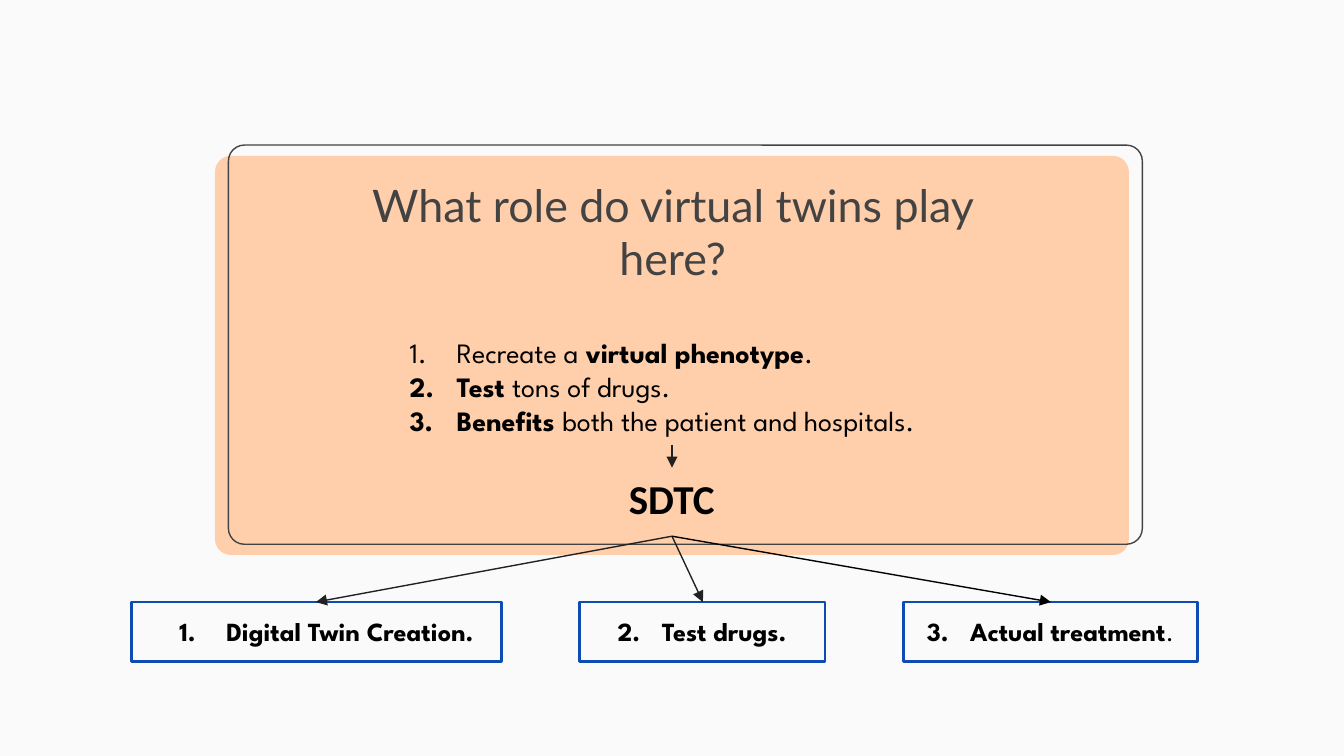
from dataclasses import dataclass
from typing import Optional

from lxml.etree import SubElement
from pptx import Presentation
from pptx.dml.color import RGBColor
from pptx.enum.shapes import MSO_CONNECTOR as Connector, MSO_SHAPE as Shape
from pptx.enum.text import MSO_ANCHOR as Anchor, PP_ALIGN as Align
from pptx.oxml.ns import qn
from pptx.util import Inches, Pt

PAPER = RGBColor(0xFA, 0xFA, 0xFA)
PEACH = RGBColor(0xFF, 0xCE, 0xAA)
GREY = RGBColor(0x43, 0x43, 0x43)
DARK = RGBColor(0x21, 0x21, 0x21)
BLUE = RGBColor(0x0F, 0x4B, 0xB4)
BLACK = RGBColor(0, 0, 0)
BODY_FONT = "League Spartan"


@dataclass
class Style:
    font: str
    size: float
    color: RGBColor = BLACK


@dataclass
class Span:
    text: str
    bold: bool = False
    spacing: float = 0


@dataclass
class Step:
    left: float
    width: float
    spans: list[Span]
    arrow_x: float
    numbered: bool = False
    arrow_color: RGBColor = DARK


GAP = Span(" ", True, 7.7)
POINTS = [
    [Span("Recreate a "), Span("virtual phenotype", True), Span(".")],
    [Span("Test ", True), Span("tons of drugs.")],
    [Span("Benefits ", True), Span("both the patient and hospitals.")],
]
STEPS = [
    Step(0.98, 2.75, [Span("Digital Twin Creation.", True)], 2.35, numbered=True),
    Step(4.31, 1.83, [Span("2.", True), GAP, Span("Test drugs.", True)], 5.23),
    Step(6.72, 2.19,
         [Span("3.", True), GAP, Span("Actual treatment", True), Span(".")],
         7.82, arrow_color=BLACK),
]
STEP_TOP, STEP_HEIGHT = 4.48, 0.44
HUB_X, HUB_Y = 5, 3.99


def add_box(slide, shape: Shape, left: float, top: float, width: float,
            height: float, fill: Optional[RGBColor] = None,
            line: Optional[RGBColor] = None, weight: float = 0.75):
    sp = slide.shapes.add_shape(shape, Inches(left), Inches(top),
                                Inches(width), Inches(height))
    sp.shadow.inherit = False
    if fill is None:
        sp.fill.background()
    else:
        sp.fill.solid()
        sp.fill.fore_color.rgb = fill
    if line is None:
        sp.line.fill.background()
    else:
        sp.line.color.rgb = line
        sp.line.width = Pt(weight)
    return sp


def setup_frame(sp, anchor: Anchor = Anchor.TOP, wrap: bool = True):
    tf = sp.text_frame
    tf.word_wrap = wrap
    tf.vertical_anchor = anchor
    tf.margin_left = tf.margin_right = Inches(0.1)
    tf.margin_top = tf.margin_bottom = Inches(0.1)
    return tf


def add_text(slide, left: float, top: float, width: float, height: float,
             anchor: Anchor = Anchor.TOP, wrap: bool = True):
    sp = slide.shapes.add_textbox(Inches(left), Inches(top),
                                  Inches(width), Inches(height))
    return setup_frame(sp, anchor, wrap)


def write(p, spans: list[Span], style: Style, align: Align = Align.LEFT) -> None:
    p.alignment = align
    for span in spans:
        r = p.add_run()
        r.text = span.text
        r.font.name = style.font
        r.font.size = Pt(style.size)
        r.font.bold = span.bold
        r.font.color.rgb = style.color
        if span.spacing:
            r._r.get_or_add_rPr().set("spc", str(round(span.spacing * 100)))


def number(p) -> None:
    pr = p._p.get_or_add_pPr()
    pr.set("marL", str(Inches(0.5)))
    pr.set("indent", str(-Inches(0.35)))
    color = SubElement(pr, qn("a:buClr"))
    SubElement(color, qn("a:srgbClr"), val=str(BLACK))
    SubElement(pr, qn("a:buFont"), typeface=BODY_FONT)
    SubElement(pr, qn("a:buAutoNum"), type="arabicPeriod")


def add_arrow(slide, x1: float, y1: float, x2: float, y2: float,
              color: RGBColor = DARK) -> None:
    arrow = slide.shapes.add_connector(Connector.STRAIGHT, Inches(x1), Inches(y1),
                                       Inches(x2), Inches(y2))
    arrow.line.color.rgb = color
    arrow.line.width = Pt(0.75)
    SubElement(arrow.line._get_or_add_ln(), qn("a:tailEnd"), type="triangle")
    SubElement(arrow._element.spPr, qn("a:effectLst"))


def main() -> None:
    prs = Presentation()
    prs.slide_width = Inches(10)
    prs.slide_height = prs.slide_width * 9 // 16
    s = prs.slides.add_slide(prs.slide_layouts[6])
    s.background.fill.solid()
    s.background.fill.fore_color.rgb = PAPER

    for left, top, fill, line in ((1.6, 1.16, PEACH, None), (1.7, 1.08, None, GREY)):
        card = add_box(s, Shape.ROUNDED_RECTANGLE, left, top, 6.8, 2.97, fill, line)
        card.adjustments[0] = 0.04

    tf = add_text(s, 2.8, 2.4, 4.75, 0.91)
    for i, spans in enumerate(POINTS):
        p = tf.add_paragraph() if i else tf.paragraphs[0]
        number(p)
        write(p, spans, Style(BODY_FONT, 15))

    tf = add_text(s, 2.45, 1.8, 5.11, 0.42, Anchor.BOTTOM)
    write(tf.paragraphs[0], [Span("What role do virtual twins play here?")],
          Style("Lato", 24, GREY), Align.CENTER)

    tf = add_text(s, 4.58, 3.42, 0.85, 0.57, wrap=False)
    write(tf.paragraphs[0], [Span("SDTC", True)], Style("Calibri", 22))
    add_arrow(s, HUB_X, 3.31, HUB_X, 3.48)

    for step in STEPS:
        sp = add_box(s, Shape.RECTANGLE, step.left, STEP_TOP, step.width,
                     STEP_HEIGHT, line=BLUE, weight=1.5)
        p = setup_frame(sp).paragraphs[0]
        if step.numbered:
            number(p)
        write(p, step.spans, Style(BODY_FONT, 14), Align.CENTER)
    for step in STEPS:
        add_arrow(s, HUB_X, HUB_Y, step.arrow_x, STEP_TOP, step.arrow_color)

    prs.save("out.pptx")


if __name__ == "__main__":
    main()
